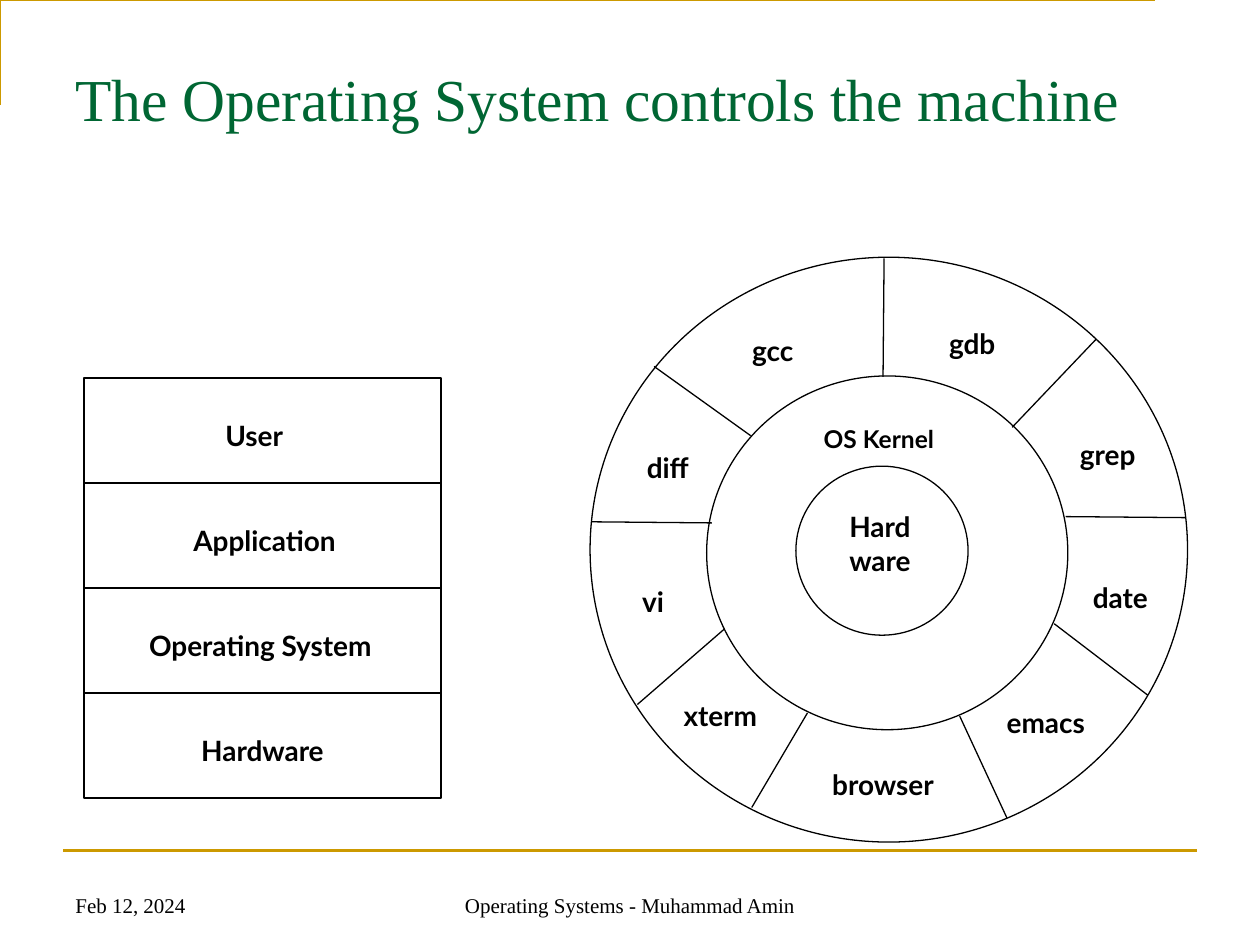
from typing import NamedTuple

from lxml import etree
from pptx import Presentation
from pptx import util as u
from pptx.dml.color import RGBColor
from pptx.enum import shapes, text
from pptx.oxml import ns

COLUMNS, ROWS = 12, 9
CELL = u.Inches(10) / COLUMNS
COLORS = {"ink": "000000", "title": "006633", "rule": "CC9900"}
SERIF, SANS = "Times New Roman", "Lato"


class Area(NamedTuple):
    left: float
    top: float
    width: float
    height: float


class Label(NamedTuple):
    words: str
    x: float
    y: float
    width: float
    height: float = 0.44
    size: int = 16


class Line(NamedTuple):
    x1: float
    y1: float
    x2: float
    y2: float


STACK = Area(0.8, 3.6, 3.4, 1)
LAYERS = [
    ("User", 2.42, 0.85),
    ("Application", 2.52, 1.75),
    ("Operating System", 2.48, 2.63),
    ("Hardware", 2.5, 1.56),
]
DISCS = [
    Area(5.62, 2.45, 5.69, 5.57),
    Area(6.73, 3.58, 3.44, 3.37),
    Area(7.58, 4.44, 1.64, 1.61),
]
SPOKES = [
    Line(8.42, 2.46, 8.41, 3.59),
    Line(10.44, 3.23, 9.64, 4.07),
    Line(10.15, 4.92, 11.29, 4.93),
    Line(10.04, 5.94, 10.93, 6.62),
    Line(9.14, 6.82, 9.59, 7.79),
    Line(7.69, 6.79, 7.16, 7.69),
    Line(6.9, 5.99, 6.07, 6.71),
    Line(5.64, 4.97, 6.78, 4.98),
    Line(6.23, 3.49, 7.15, 4.15),
]
RING_LABELS = [
    Label("OS Kernel", 8.37, 4.18, 1.38, 0.41, 14),
    Label("Hard\nware", 8.38, 5.18, 0.9, 0.77),
    Label("gcc", 7.36, 3.34, 0.68),
    Label("gdb", 9.26, 3.27, 0.74),
    Label("grep", 10.55, 4.33, 0.85),
    Label("date", 10.67, 5.69, 0.84),
    Label("emacs", 9.96, 6.88, 1.08),
    Label("browser", 8.41, 7.47, 1.44),
    Label("xterm", 6.86, 6.81, 1.04),
    Label("vi", 6.22, 5.73, 0.47),
    Label("diff", 6.36, 4.45, 0.7),
]


def cells(*lengths: float) -> list[int]:
    return [round(length * CELL) for length in lengths]


def color(name: str) -> RGBColor:
    return RGBColor.from_string(COLORS[name])


def set_line(shape, name: str, width: float) -> None:
    shape.line.color.rgb = color(name)
    shape.line.width = u.Pt(width)


def add_outline(page, kind, area: Area) -> None:
    shape = page.shapes.add_shape(kind, *cells(*area))
    shape.shadow.inherit = False
    shape.fill.background()
    set_line(shape, "ink", 0.75)


def add_line(page, line: Line, name: str = "ink", width: float = 0.75) -> None:
    connector = page.shapes.add_connector(
        shapes.MSO_CONNECTOR.STRAIGHT, *cells(*line))
    set_line(connector, name, width)
    etree.SubElement(connector._element.spPr, ns.qn("a:effectLst"))


def add_text(page, words: str, area: Area, size: int, font: str = SERIF,
             name: str = "ink", bold: bool = False, wrap: bool = True,
             align=text.PP_ALIGN.LEFT, anchor=text.MSO_ANCHOR.TOP) -> None:
    frame = page.shapes.add_textbox(*cells(*area)).text_frame
    frame.word_wrap = wrap
    frame.vertical_anchor = anchor
    frame.text = words
    for para in frame.paragraphs:
        para.alignment = align
        for span in para.runs:
            span.font.size = u.Pt(size)
            span.font.name = font
            span.font.bold = bold
            span.font.color.rgb = color(name)


def add_label(page, label: Label) -> None:
    area = Area(label.x - label.width / 2, label.y - label.height / 2,
                label.width, label.height)
    add_text(page, label.words, area, label.size, SANS, bold=True, wrap=False,
             align=text.PP_ALIGN.CENTER)


def add_frame(page) -> None:
    builder = page.shapes.build_freeform(0.5, 1.1, scale=CELL)
    builder.add_line_segments([(0.5, 0.3), (11.3, 0.3)], close=False)
    corner = builder.convert_to_shape()
    corner.shadow.inherit = False
    corner.fill.background()
    set_line(corner, "rule", 1.5)
    add_line(page, Line(0.6, 8.1, 11.4, 8.1), "rule", 1.5)
    add_text(page, "Feb 12, 2024", Area(0.6, 8.2, 2.8, 0.6), 12,
             anchor=text.MSO_ANCHOR.BOTTOM)
    add_text(page, "Operating Systems - Muhammad Amin",
             Area(4.1, 8.2, 3.8, 0.6), 12, align=text.PP_ALIGN.CENTER,
             anchor=text.MSO_ANCHOR.BOTTOM)
    add_text(page, "The Operating System controls the machine",
             Area(0.6, 0.53, 10.8, 1.5), 34, name="title")


def add_stack(page) -> None:
    for row, (words, x, width) in enumerate(LAYERS):
        top = STACK.top + row * STACK.height
        add_outline(page, shapes.MSO_SHAPE.RECTANGLE, STACK._replace(top=top))
        add_label(page, Label(words, x, top + 0.55, width))


def add_ring(page) -> None:
    for disc in DISCS:
        add_outline(page, shapes.MSO_SHAPE.OVAL, disc)
    for spoke in SPOKES:
        add_line(page, spoke)
    for label in RING_LABELS:
        add_label(page, label)


def main() -> None:
    deck = Presentation()
    deck.slide_width, deck.slide_height = cells(COLUMNS, ROWS)
    page = deck.slides.add_slide(deck.slide_layouts[6])
    add_frame(page)
    add_stack(page)
    add_ring(page)
    deck.save("out.pptx")


if __name__ == "__main__":
    main()
